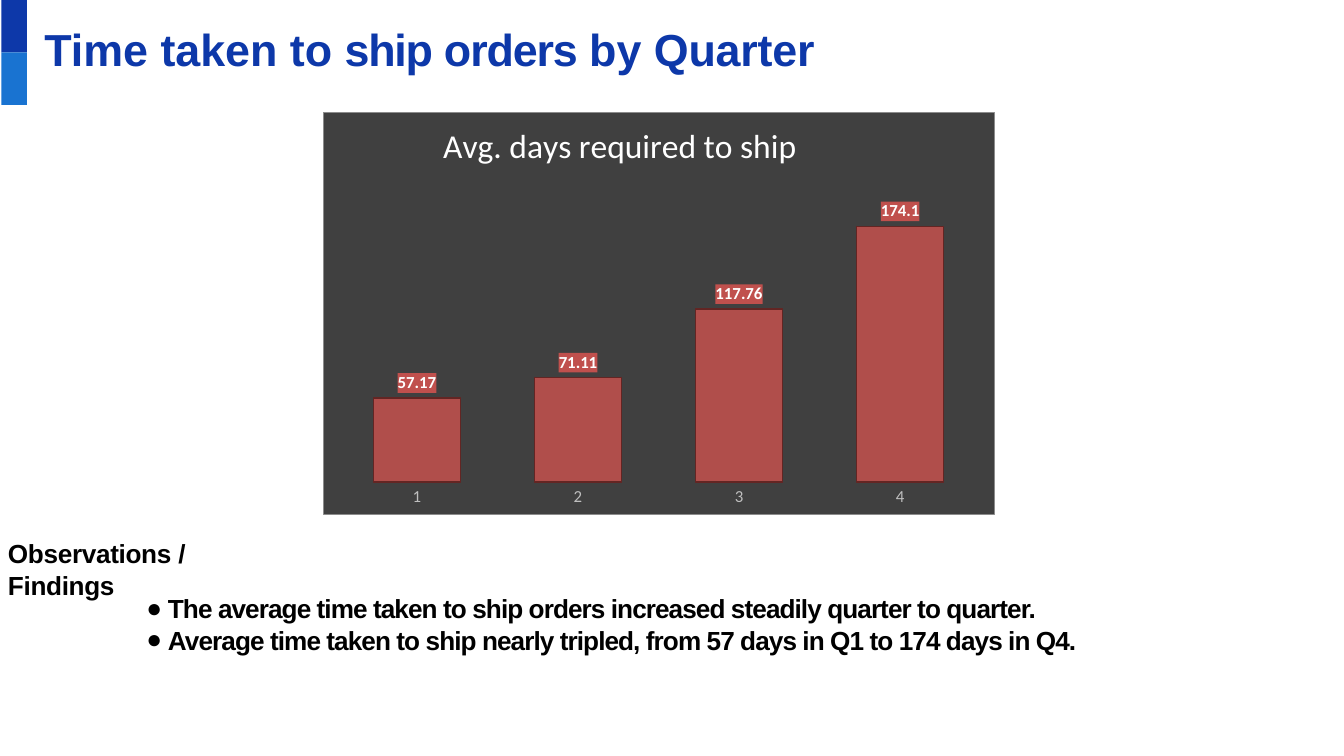
from dataclasses import dataclass

from pptx import Presentation
from pptx.chart.data import CategoryChartData
from pptx.dml.color import RGBColor
from pptx.enum.chart import XL_CHART_TYPE, XL_LABEL_POSITION, XL_TICK_MARK
from pptx.enum.shapes import MSO_SHAPE
from pptx.enum.text import MSO_ANCHOR, MSO_AUTO_SIZE, PP_ALIGN
from pptx.oxml import parse_xml
from pptx.oxml.ns import nsdecls, qn
from pptx.util import Inches, Pt

RECTANGLE = MSO_SHAPE.RECTANGLE
COLUMNS = XL_CHART_TYPE.COLUMN_CLUSTERED
OUTSIDE_END = XL_LABEL_POSITION.OUTSIDE_END
NO_TICK = XL_TICK_MARK.NONE
LEFT = PP_ALIGN.LEFT
TOP = MSO_ANCHOR.TOP
NO_AUTOFIT = MSO_AUTO_SIZE.NONE


@dataclass(frozen=True)
class Theme:
    """Colours, fonts and type sizes of the slide."""

    navy: str = "0D38A9"
    blue: str = "1973D1"
    black: str = "000000"
    white: str = "FFFFFF"
    panel: str = "404040"
    panel_edge: str = "8C8C8C"
    column: str = "C0504D"
    column_edge: str = "632523"
    axis: str = "BFBFBF"
    text_font: str = "Arial"
    chart_font: str = "Calibri"
    title_size: float = 24
    body_size: float = 14
    chart_size: float = 10
    chart_title_size: float = 18
    label_size: float = 9


THEME = Theme()


def style_font(font, size, color, bold=False, name=THEME.chart_font):
    """Set the face, size, colour and weight of a font."""
    font.name, font.size, font.bold = name, Pt(size), bold
    font.color.rgb = RGBColor.from_string(color)


def place(shape, left, top, width, height):
    """Move and size a shape, in inches."""
    shape.left, shape.top = Inches(left), Inches(top)
    shape.width, shape.height = Inches(width), Inches(height)


def set_bullet(paragraph, hang):
    """Give a paragraph a round bullet with a hanging indent."""
    properties = paragraph._p.get_or_add_pPr()
    properties.set("marL", str(Inches(hang)))
    properties.set("indent", str(-Inches(hang)))
    properties.append(parse_xml(f'<a:buChar {nsdecls("a")} char="●"/>'))


def write(shape, paragraphs, size=THEME.body_size, color=THEME.black,
          before=0, inset_top=0, inset_right=0, hang=None):
    """Fill a shape with paragraphs made of (text, letter spacing) pairs."""
    frame = shape.text_frame
    frame.word_wrap, frame.auto_size = True, NO_AUTOFIT
    frame.vertical_anchor = TOP
    frame.margin_left, frame.margin_right = Inches(0.01), Inches(inset_right)
    frame.margin_top, frame.margin_bottom = Inches(inset_top), 0
    for index, pieces in enumerate(paragraphs):
        paragraph = frame.add_paragraph() if index else frame.paragraphs[0]
        paragraph.alignment = LEFT
        paragraph.space_before = Pt(before)
        if hang:
            set_bullet(paragraph, hang)
        for text, spacing in pieces:
            run = paragraph.add_run()
            run.text = text
            style_font(run.font, size, color, True, THEME.text_font)
            run.font._element.set("spc", str(round(spacing * 100)))


def add_accent(slide, top, color):
    """Add one block of the corner accent."""
    block = slide.shapes.add_shape(
        RECTANGLE, Inches(0.01), Inches(top), Inches(0.19), Inches(0.39))
    block.shadow.inherit = False
    block.fill.solid()
    block.fill.fore_color.rgb = RGBColor.from_string(color)
    block.line.fill.background()


def chart_fill(color, edge=None):
    """Return chart shape properties with a fill and an optional thin edge."""
    def solid(value):
        return f'<a:solidFill><a:srgbClr val="{value}"/></a:solidFill>'
    line = f'<a:ln w="{Pt(0.5)}">{solid(edge)}</a:ln>' if edge else ""
    return parse_xml(
        f'<c:spPr {nsdecls("c", "a")}>{solid(color)}{line}</c:spPr>')


def lay_out(part, index, target="", **fractions):
    """Pin a chart part at fractions of the chart area."""
    old = part.find(qn("c:layout"))
    if old is not None:
        part.remove(old)
    modes = '<c:xMode val="edge"/><c:yMode val="edge"/>'
    sizes = "".join(f'<c:{key} val="{value}"/>' for key, value in fractions.items())
    part.insert(index, parse_xml(
        f'<c:layout {nsdecls("c")}><c:manualLayout>{target}{modes}{sizes}'
        '</c:manualLayout></c:layout>'))


def style_columns(plot):
    """Format the columns and their value labels."""
    plot.gap_width, plot.vary_by_categories = 84, False
    days = plot.series[0]
    days.format.fill.solid()
    days.format.fill.fore_color.rgb = RGBColor.from_string(THEME.column)
    days.format.line.color.rgb = RGBColor.from_string(THEME.column_edge)
    days.format.line.width = Pt(0.75)
    tint = days._element.xpath("c:spPr/a:solidFill/a:srgbClr")[0]
    tint.append(parse_xml(f'<a:alpha {nsdecls("a")} val="88000"/>'))
    labels = days.data_labels
    labels.show_value, labels.position = True, OUTSIDE_END
    style_font(labels.font, THEME.label_size, THEME.white, True)
    labels._element.find(qn("c:txPr")).addprevious(chart_fill(THEME.column))


def add_shipping_chart(slide):
    """Add the column chart of average shipping days by quarter."""
    data = CategoryChartData()
    data.categories = ["1", "2", "3", "4"]
    data.add_series("Series 1", [57.17, 71.11, 117.76, 174.1])
    chart = slide.shapes.add_chart(
        COLUMNS, Inches(2.4), Inches(0.83), Inches(5), Inches(3), data).chart
    style_font(chart.font, THEME.chart_size, THEME.black)
    space = chart._chartSpace
    space.find(qn("c:txPr")).addprevious(
        chart_fill(THEME.panel, THEME.panel_edge))
    chart.has_legend, chart.has_title = False, True
    heading = chart.chart_title.text_frame
    heading.text = "Avg. days required to ship"
    style_font(heading.paragraphs[0].runs[0].font,
               THEME.chart_title_size, THEME.white)
    lay_out(space.xpath("c:chart/c:title")[0], 1, x=0.17, y=0.01)
    lay_out(space.xpath("c:chart/c:plotArea")[0], 0,
            '<c:layoutTarget val="inner"/>', x=0.02, y=0.19, w=0.96, h=0.73)
    quarters, days = chart.category_axis, chart.value_axis
    quarters.major_tick_mark = quarters.minor_tick_mark = NO_TICK
    quarters.format.line.fill.background()
    style_font(quarters.tick_labels.font, THEME.label_size, THEME.axis)
    days.visible, days.has_major_gridlines = False, False
    days.minimum_scale, days.maximum_scale = 0, 200
    style_columns(chart.plots[0])


def main():
    """Build the slide and save it."""
    deck = Presentation()
    deck.slide_width, deck.slide_height = Inches(10), Inches(10 * 9 / 16)
    slide = deck.slides.add_slide(deck.slide_layouts[1])
    for row, color in enumerate((THEME.navy, THEME.blue)):
        add_accent(slide, row * 0.39, color)

    title = slide.shapes.title
    place(title, 0.32, 0.15, 7.01, 0.43)
    write(title, [[("Time taken to ", 0), ("ship ", -0.7), ("orders ", -0.6),
                   ("by ", 0), ("Quarter", -0.1)]],
          size=THEME.title_size, color=THEME.navy, before=1, inset_top=0.01)

    heading = slide.shapes.add_textbox(0, 0, 0, 0)
    place(heading, 0.05, 3.98, 2.17, 0.29)
    write(heading, [[("Observations ", -0.2), ("/ ", 0.5), ("Findings", -0.2)]],
          before=1.1, inset_top=0.02, inset_right=0.3)

    findings = slide.placeholders[1]
    place(findings, 1.08, 4.41, 7.08, 0.64)
    write(findings, [
        [("The average time taken to ship orders increased steadily "
          "quarter to quarter.", -0.5)],
        [("Average time taken to ship nearly tripled, from 57 days in Q1 "
          "to 174 days in Q4.", -0.5)],
    ], hang=0.16)

    add_shipping_chart(slide)
    deck.save("out.pptx")


if __name__ == "__main__":
    main()
